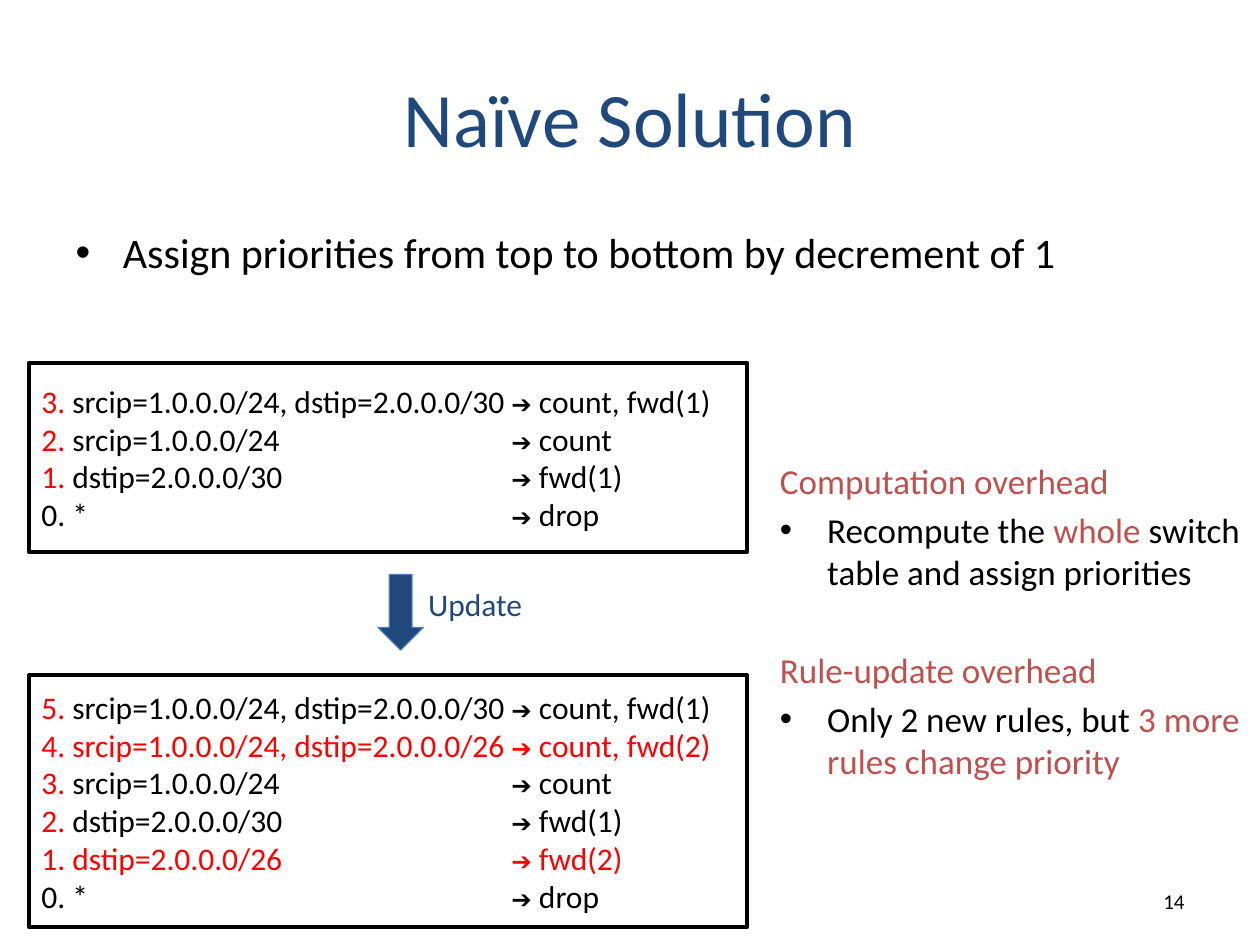
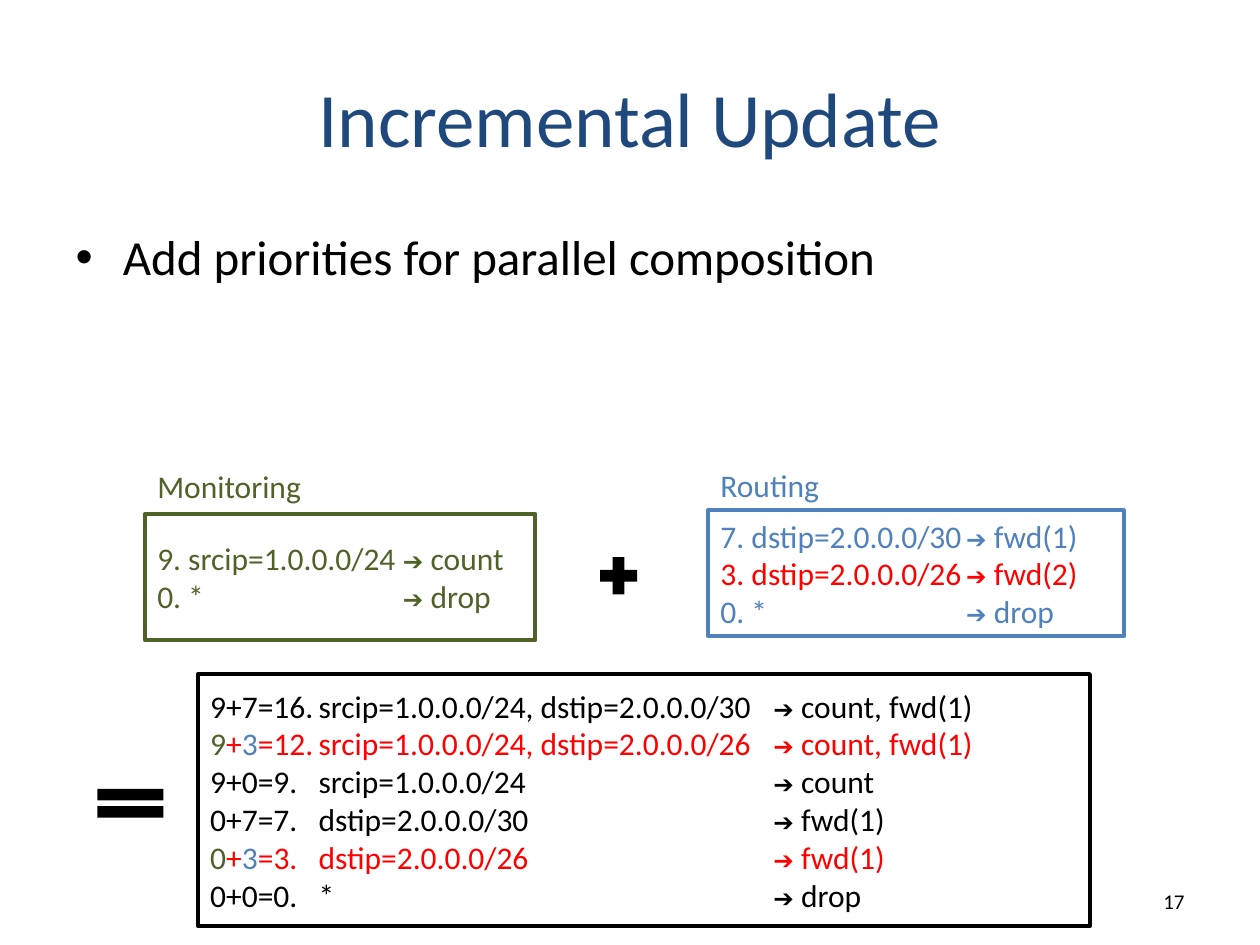
import pptx
import pptx.dml.color
import pptx.enum.shapes
import pptx.enum.text
import pptx.oxml.ns
import pptx.util
from lxml import etree

PX = 9144
NAVY, BLACK, WHITE = "1F497D", "000000", "FFFFFF"
RED, BRICK, OLIVE, BLUE = "FF0000", "C0504D", "4F6228", "4F81BD"
TEXT_FONT, ARROW_FONT = "Calibri", "Arial"
SHAPES = pptx.enum.shapes.MSO_SHAPE
ALIGN = pptx.enum.text.PP_ALIGN
MIDDLE = pptx.enum.text.MSO_ANCHOR.MIDDLE

TITLE_AREA = (50, 30, 900, 125)
BODY_AREA = (50, 175, 900, 495)
NUMBER_AREA = (717, 695, 233, 40)


def px(length):
    """Turn px into EMU."""
    return pptx.util.Emu(length * PX)


def rgb(value):
    """Turn a hex string into a colour."""
    return pptx.dml.color.RGBColor.from_string(value)


def place(shape, area):
    """Move and size a shape to an area in px."""
    shape.left, shape.top, shape.width, shape.height = map(px, area)


def style(run, size, color, font=TEXT_FONT):
    """Set the font of a run."""
    run.font.size = pptx.util.Pt(size)
    run.font.name = font
    run.font.color.rgb = rgb(color)


def add_runs(paragraph, parts, size):
    """Append (text, colour) parts to a paragraph."""
    for text, color in parts:
        run = paragraph.add_run()
        run.text = text
        style(run, size, color)


def add_child(parent, tag, **attributes):
    """Append a drawing element to an XML parent."""
    child = etree.SubElement(parent, pptx.oxml.ns.qn(tag))
    for name, value in attributes.items():
        child.set(name, str(value))
    return child


def fill_placeholder(placeholder, area, text, size, color):
    """Place a template placeholder and give it one line of text."""
    place(placeholder, area)
    placeholder.text_frame.text = text
    style(placeholder.text_frame.paragraphs[0].runs[0], size, color)


def add_label(shapes, area, text, size, color, align=ALIGN.LEFT):
    """Add a one-line text box."""
    label = shapes.add_textbox(*map(px, area))
    label.text_frame.word_wrap = True
    label.text_frame.text = text
    paragraph = label.text_frame.paragraphs[0]
    paragraph.alignment = align
    style(paragraph.runs[0], size, color)
    return label


def add_figure(shapes, kind, area, fill, line=None, weight=0.75):
    """Add a preset shape with a plain fill and an optional outline."""
    figure = shapes.add_shape(kind, *map(px, area))
    figure.shadow.inherit = False
    figure.fill.solid()
    figure.fill.fore_color.rgb = rgb(fill)
    if line:
        figure.line.color.rgb = rgb(line)
        figure.line.width = pptx.util.Pt(weight)
    else:
        figure.line.fill.background()
    return figure


def add_rule_table(shapes, area, border, tab_stops, rules):
    """Add a framed list of rules, each a match and an action."""
    frame = add_figure(shapes, SHAPES.RECTANGLE, area, WHITE, border, 2.25).text_frame
    frame.vertical_anchor = MIDDLE
    for index, (match, action) in enumerate(rules):
        paragraph = frame.add_paragraph() if index else frame.paragraphs[0]
        paragraph.alignment = ALIGN.LEFT
        tabs = add_child(paragraph._p.get_or_add_pPr(), "a:tabLst")
        for stop in tab_stops:
            add_child(tabs, "a:tab", pos=px(stop), algn="l")
        color = match[-1][1]
        add_runs(paragraph, match + [("\t", color), ("➔", color), (" " + action, color)], 18)
        style(paragraph.runs[-2], 14, color, ARROW_FONT)


def add_policy(slide, name, label_area, area, color, rules):
    """Group a policy's name with its rules."""
    shapes = slide.shapes.add_group_shape().shapes
    add_rule_table(shapes, area, color, [195], rules)
    add_label(shapes, label_area, name, 18, color)


def add_overheads(placeholder, area, overheads):
    """Fill a placeholder with headings, each above one bullet."""
    place(placeholder, area)
    frame = placeholder.text_frame
    for index, (heading, point) in enumerate(overheads):
        paragraph = frame.add_paragraph() if index else frame.paragraphs[0]
        properties = paragraph._p.get_or_add_pPr()
        properties.set("marL", "0")
        properties.set("indent", "0")
        add_child(properties, "a:buNone")
        if index:
            paragraph.space_before = pptx.util.Pt(32)
        add_runs(paragraph, [(heading, BRICK)], 20)
        add_runs(frame.add_paragraph(), point, 20)


def add_slide(deck, layout, title, point, point_size, number):
    """Add a slide with its title, leading bullet and number."""
    slide = deck.slides.add_slide(deck.slide_layouts.get_by_name(layout))
    fill_placeholder(slide.shapes.title, TITLE_AREA, title, 44, NAVY)
    fill_placeholder(slide.placeholders[1], BODY_AREA, point, point_size, BLACK)
    page = add_label(slide.shapes, NUMBER_AREA, number, 12, BLACK, ALIGN.RIGHT)
    page.text_frame.vertical_anchor = MIDDLE
    return slide


def build_naive_solution(deck):
    """Show how top-down priorities change after an update."""
    slide = add_slide(deck, "Two Content", "Naïve Solution",
                      "Assign priorities from top to bottom by decrement of 1", 24, "14")
    add_figure(slide.shapes, SHAPES.DOWN_ARROW, (300, 456, 36, 60), NAVY, "4B7EBC")
    add_label(slide.shapes, (330, 459, 98, 40), "Update", 18, NAVY)
    both, source, target = "srcip=1.0.0.0/24, dstip=2.0.0.0/30", "srcip=1.0.0.0/24", "dstip=2.0.0.0/30"
    fallback = ([("0. *", BLACK)], "drop")
    add_rule_table(slide.shapes, (23, 288, 570, 150), BLACK, [373], [
        ([("3. ", RED), (both, BLACK)], "count, fwd(1)"),
        ([("2. ", RED), (source, BLACK)], "count"),
        ([("1. ", RED), (target, BLACK)], "fwd(1)"),
        fallback,
    ])
    add_rule_table(slide.shapes, (23, 536, 570, 200), BLACK, [373], [
        ([("5. ", RED), (both, BLACK)], "count, fwd(1)"),
        ([("4. srcip=1.0.0.0/24, dstip=2.0.0.0/26", RED)], "count, fwd(2)"),
        ([("3. ", RED), (source, BLACK)], "count"),
        ([("2. ", RED), (target, BLACK)], "fwd(1)"),
        ([("1. dstip=2.0.0.0/26", RED)], "fwd(2)"),
        fallback,
    ])
    add_overheads(slide.placeholders[2], (609, 360, 398, 315), [
        ("Computation overhead",
         [("Recompute the ", BLACK), ("whole", BRICK),
          (" switch table and assign priorities", BLACK)]),
        ("Rule-update overhead",
         [("Only 2 new rules, but ", BLACK), ("3 more rules change priority", BRICK)]),
    ])


def build_incremental_update(deck):
    """Show how the priorities of two policies add up."""
    slide = add_slide(deck, "Title and Content", "Incremental Update",
                      "Add priorities for parallel composition", 28, "17")
    add_figure(slide.shapes, SHAPES.MATH_PLUS, (471, 437, 40, 40), BLACK)
    add_policy(slide, "Monitoring", (115, 366, 160, 40), (115, 408, 310, 100), OLIVE, [
        ([("9. srcip=1.0.0.0/24", OLIVE)], "count"),
        ([("0. *", OLIVE)], "drop"),
    ])
    add_policy(slide, "Routing", (562, 365, 160, 40), (562, 405, 330, 100), BLUE, [
        ([("7. dstip=2.0.0.0/30", BLUE)], "fwd(1)"),
        ([("3. dstip=2.0.0.0/26", RED)], "fwd(2)"),
        ([("0. *", BLUE)], "drop"),
    ])
    add_figure(slide.shapes, SHAPES.MATH_EQUAL, (68, 618, 71, 39), BLACK)
    add_rule_table(slide.shapes, (157, 535, 708, 200), BLACK, [86, 447], [
        ([("9+7=16.\tsrcip=1.0.0.0/24, dstip=2.0.0.0/30", BLACK)], "count, fwd(1)"),
        ([("9", OLIVE), ("+", RED), ("3", BLUE),
          ("=12.\tsrcip=1.0.0.0/24, dstip=2.0.0.0/26", RED)], "count, fwd(1)"),
        ([("9+0=9.\tsrcip=1.0.0.0/24", BLACK)], "count"),
        ([("0+7=7.\tdstip=2.0.0.0/30", BLACK)], "fwd(1)"),
        ([("0", OLIVE), ("+", RED), ("3", BLUE), ("=3.\tdstip=2.0.0.0/26", RED)], "fwd(1)"),
        ([("0+0=0.\t*", BLACK)], "drop"),
    ])


def main():
    """Build and save the deck."""
    deck = pptx.Presentation()
    deck.slide_width, deck.slide_height = px(1000), px(750)
    build_naive_solution(deck)
    build_incremental_update(deck)
    deck.save("out.pptx")


if __name__ == "__main__":
    main()
